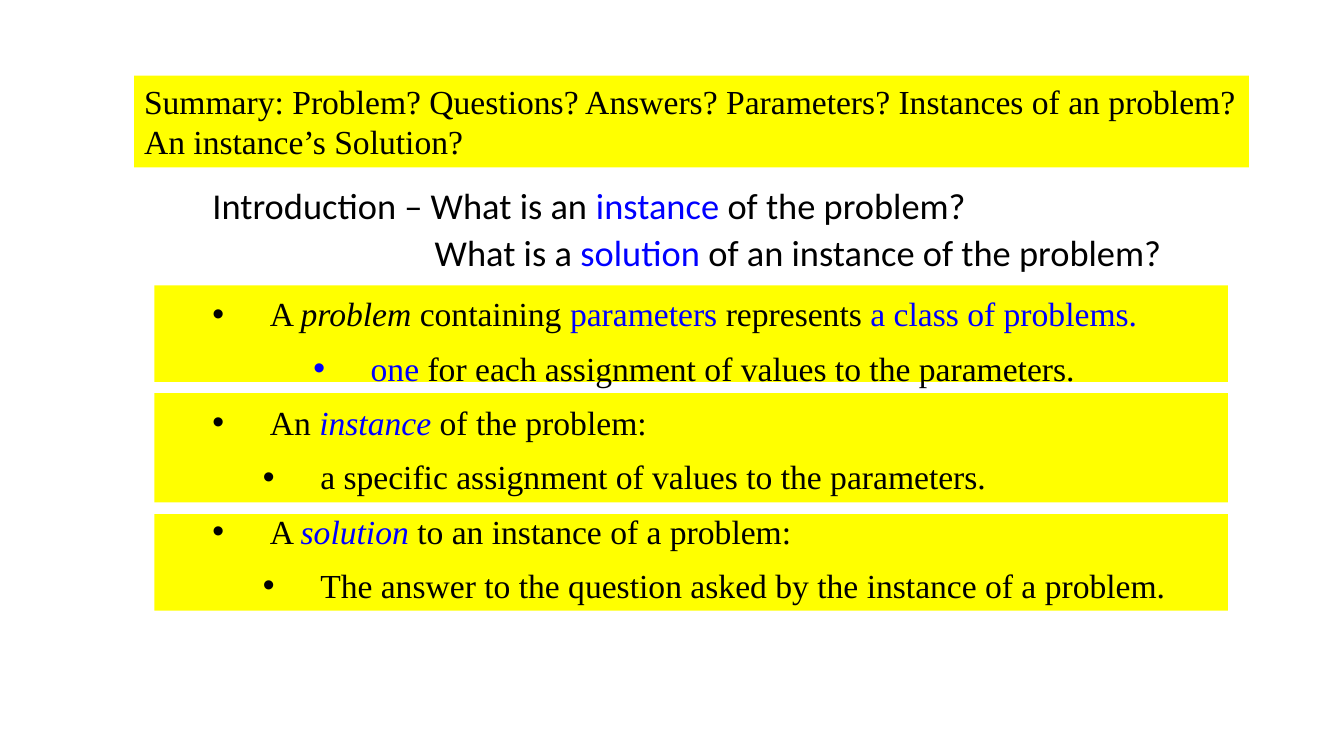
from dataclasses import dataclass

from lxml.etree import SubElement
from pptx import Presentation
from pptx.dml.color import RGBColor
from pptx.enum.shapes import MSO_SHAPE as Shape
from pptx.enum.text import MSO_ANCHOR as Anchor, MSO_AUTO_SIZE as AutoSize, PP_ALIGN as Align
from pptx.oxml.ns import qn
from pptx.util import Pt


@dataclass(frozen=True)
class Theme:
    highlight = RGBColor(0xFF, 0xFF, 0x00)
    ink = RGBColor(0x00, 0x00, 0x00)
    accent = RGBColor(0x00, 0x00, 0xFF)
    question = {"name": "Calibri", "size": Pt(26)}
    body = {"name": "Times New Roman", "size": Pt(24)}


theme = Theme()
PLAIN = {"italic": False, "color": theme.ink}
ITALIC = {"italic": True, "color": theme.ink}
BLUE = {"italic": False, "color": theme.accent}
BLUE_ITALIC = {"italic": True, "color": theme.accent}


def add_band(left, top, width, height):
    band = slide.shapes.add_shape(Shape.RECTANGLE, Pt(left), Pt(top), Pt(width), Pt(height))
    band.shadow.inherit = False
    band.fill.solid()
    band.fill.fore_color.rgb = theme.highlight
    band.line.fill.background()
    return band


def write_runs(paragraph, runs, font):
    for text, style in runs:
        run = paragraph.add_run()
        run.text = text
        for attribute, value in {**font, "italic": style["italic"]}.items():
            setattr(run.font, attribute, value)
        run.font.color.rgb = style["color"]


deck = Presentation()
deck.slide_width, deck.slide_height = Pt(960), Pt(540)
slide = deck.slides.add_slide(deck.slide_layouts[6])

for top, height in [(203.8, 69), (280.8, 78), (367.2, 69)]:
    add_band(110.2, top, 766.8, height)

definitions = slide.shapes.add_textbox(Pt(144.7), Pt(125.3), Pt(715), Pt(311.8)).text_frame
definitions.word_wrap = True
definitions.auto_size = AutoSize.SHAPE_TO_FIT_TEXT

questions = [
    (0, 0, [("Introduction – What is an ", PLAIN), ("instance", BLUE), (" of the problem?", PLAIN)]),
    (158.7, 12, [("What is a ", PLAIN), ("solution", BLUE),
                 (" of an instance of the problem?", PLAIN)]),
]
answers = [
    (0, [("A ", PLAIN), ("problem", ITALIC), (" containing ", PLAIN), ("parameters", BLUE),
         (" represents ", PLAIN), ("a class of problems.", BLUE)]),
    (2, [("one", BLUE), (" for each assignment of values to the parameters.", PLAIN)]),
    (0, [("An ", PLAIN), ("instance", BLUE_ITALIC), (" of the problem:", PLAIN)]),
    (1, [("a specific assignment of values to the parameters.", PLAIN)]),
    (0, [("A ", PLAIN), ("solution", BLUE_ITALIC), (" to an instance of a problem:", PLAIN)]),
    (1, [("The answer to the question asked by the instance of a problem.", PLAIN)]),
]

hanging, level_step = 41, 36
lines = [(0, margin, 0, after, theme.question, runs) for margin, after, runs in questions]
lines += [(level, hanging + level * level_step, -hanging, 8, theme.body, runs)
          for level, runs in answers]

for number, (level, margin, indent, after, font, runs) in enumerate(lines):
    paragraph = definitions.add_paragraph() if number else definitions.paragraphs[0]
    spacing = {"level": level, "line_spacing": 1.07, "space_after": Pt(after)}
    for attribute, value in spacing.items():
        setattr(paragraph, attribute, value)
    properties = paragraph._p.get_or_add_pPr()
    properties.set("marL", str(Pt(margin)))
    properties.set("indent", str(Pt(indent)))
    if indent:
        SubElement(properties, qn("a:buFont"), typeface="Arial")
        SubElement(properties, qn("a:buChar"), char="•")
    write_runs(paragraph, runs, font)

summary = add_band(95.8, 54, 796.3, 65.5).text_frame
summary_format = {"word_wrap": True, "vertical_anchor": Anchor.TOP,
                  "auto_size": AutoSize.SHAPE_TO_FIT_TEXT}
for attribute, value in summary_format.items():
    setattr(summary, attribute, value)
summary.paragraphs[0].alignment = Align.LEFT
summary_text = ("Summary: Problem? Questions? Answers? Parameters? "
                "Instances of an problem? An instance’s Solution?")
write_runs(summary.paragraphs[0], [(summary_text, PLAIN)], theme.body)

deck.save("out.pptx")
